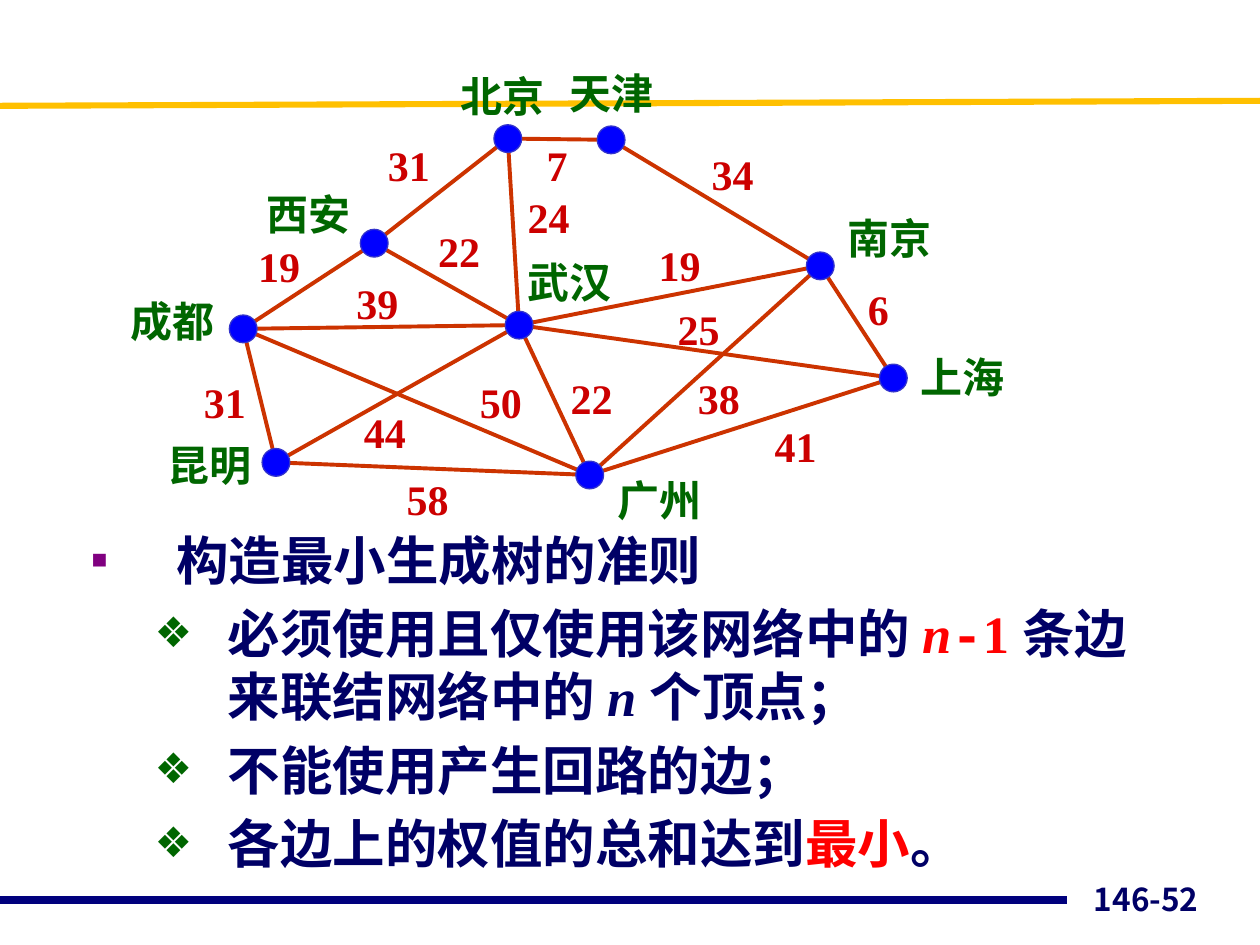
import math

import lxml.etree
import pptx
import pptx.dml.color
import pptx.enum.shapes
import pptx.enum.text
import pptx.oxml.ns
import pptx.util

COLUMNS, ROWS = 100, 75
CELL = pptx.util.Inches(0.1)
NODE_SIZE = 2.2
EDGE_GAP = 0.9

COLORS = {
    "navy": "000066", "rule": "00007D", "gold": "FFC000", "edge": "CC3300",
    "node": "0000FF", "rim": "3333CC", "city": "006600", "weight": "CC0000",
    "accent": "FF0000", "square": "800080", "diamond": "006600",
}

# City: node centre, then top left of its label, in columns and rows.
CITIES = {
    "武汉": ((41.2, 25.8), (40.9, 19.9)),
    "昆明": ((21.9, 36.7), (12.3, 34.4)),
    "南京": ((65.1, 21.1), (66.3, 16.4)),
    "北京": ((40.3, 11.0), (35.6, 5.1)),
    "上海": ((70.9, 30.0), (72.1, 27.4)),
    "成都": ((19.3, 26.1), (9.4, 23.0)),
    "西安": ((29.7, 19.3), (20.2, 14.5)),
    "广州": ((46.8, 37.7), (48.0, 37.2)),
    "天津": ((48.5, 11.1), (44.2, 4.9)),
}

# Two cities, the weight between them, and top left of the weight.
EDGES = [
    ("武汉", "广州", "22", (44.3, 29.1)),
    ("成都", "西安", "19", (19.5, 18.6)),
    ("西安", "北京", "31", (29.8, 10.6)),
    ("昆明", "成都", "31", (15.2, 29.4)),
    ("昆明", "武汉", "44", (27.9, 31.8)),
    ("北京", "武汉", "24", (40.9, 14.7)),
    ("武汉", "南京", "19", (51.3, 18.5)),
    ("广州", "南京", "38", (54.4, 29.1)),
    ("南京", "上海", "6", (67.9, 22.0)),
    ("广州", "上海", "41", (60.5, 32.9)),
    ("昆明", "广州", "58", (31.3, 37.1)),
    ("成都", "武汉", "39", (27.3, 21.5)),
    ("西安", "武汉", "22", (33.8, 17.4)),
    ("成都", "广州", "50", (37.1, 29.4)),
    ("武汉", "上海", "25", (52.8, 23.6)),
    ("北京", "天津", "7", (42.4, 10.6)),
    ("天津", "南京", "34", (55.5, 11.3)),
]

HEADING = [("构造最小生成树的准则", {"font": "Arial"})]
RULES = [
    [("必须使用且仅使用该网络中的 ", {}),
     ("n", {"color": "accent", "italic": True}),
     ("-", {"color": "accent", "font": "Courier New"}),
     ("1 ", {"color": "accent"}),
     ("条边来联结网络中的 ", {}),
     ("n ", {"italic": True}),
     ("个顶点；", {})],
    [("不能使用产生回路的边；", {})],
    [("各边上的权值的总和达到", {}), ("最小", {"color": "accent"}), ("。", {})],
]


def grid(*cells):
    return [round(cell * CELL) for cell in cells]


def rgb(name):
    return pptx.dml.color.RGBColor.from_string(COLORS[name])


def add_text(paragraph, text, font="Times New Roman", size=30, color="navy", italic=False):
    run = paragraph.add_run()
    run.text = text
    run.font.name = font
    run.font.size = pptx.util.Pt(size)
    run.font.bold = True
    run.font.italic = italic
    run.font.color.rgb = rgb(color)


def add_frame(slide, left, top, width, height, wrap=True):
    frame = slide.shapes.add_textbox(*grid(left, top, width, height)).text_frame
    frame.word_wrap = wrap
    return frame


def add_label(slide, position, text, char_width, color):
    """Place a one-line label whose width follows from its character count."""
    frame = add_frame(slide, *position, 2 + char_width * len(text), 5, wrap=False)
    add_text(frame.paragraphs[0], text, size=24, color=color)


def add_line(slide, start, end, color, width):
    line = slide.shapes.add_connector(
        pptx.enum.shapes.MSO_CONNECTOR.STRAIGHT, *grid(*start, *end))
    line.line.color.rgb = rgb(color)
    line.line.width = pptx.util.Pt(width)
    lxml.etree.SubElement(line._element.spPr, pptx.oxml.ns.qn("a:effectLst"))


def add_edge(slide, start, end):
    """Join two nodes, stopping just inside each rim."""
    dx, dy = end[0] - start[0], end[1] - start[1]
    share = EDGE_GAP / math.hypot(dx, dy)
    trim_x, trim_y = dx * share, dy * share
    add_line(slide, (start[0] + trim_x, start[1] + trim_y),
             (end[0] - trim_x, end[1] - trim_y), "edge", 2.25)


def add_node(slide, centre):
    x, y = centre
    node = slide.shapes.add_shape(
        pptx.enum.shapes.MSO_SHAPE.OVAL,
        *grid(x - NODE_SIZE / 2, y - NODE_SIZE / 2, NODE_SIZE, NODE_SIZE))
    node.shadow.inherit = False
    node.fill.solid()
    node.fill.fore_color.rgb = rgb("node")
    node.line.color.rgb = rgb("rim")
    node.line.width = pptx.util.Pt(0.75)


def add_bullet(paragraph, symbol, color, percent, indent, hanging):
    properties = paragraph._p.get_or_add_pPr()
    properties.set("marL", str(pptx.util.Inches(indent)))
    properties.set("indent", str(-pptx.util.Inches(hanging)))

    def add(parent, tag, **attributes):
        return lxml.etree.SubElement(parent, pptx.oxml.ns.qn(tag), attributes)

    add(add(properties, "a:buClr"), "a:srgbClr", val=COLORS[color])
    add(properties, "a:buSzPct", val=str(percent * 1000))
    add(properties, "a:buFont", typeface="Arial")
    add(properties, "a:buChar", char=symbol)


def add_criteria(slide):
    frame = add_frame(slide, 6.3, 41.4, 88.3, 30.4)
    heading = frame.paragraphs[0]
    add_bullet(heading, "■", "square", 50, 0.67, 0.67)
    for text, style in HEADING:
        add_text(heading, text, **style)
    for rule in RULES:
        paragraph = frame.add_paragraph()
        paragraph.level = 1
        add_bullet(paragraph, "❖", "diamond", 80, 1.08, 0.58)
        paragraph.space_before = pptx.util.Pt(6)
        for text, style in rule:
            add_text(paragraph, text, **style)


def add_page_number(slide):
    frame = add_frame(slide, 72.8, 68.3, 23.3, 5)
    frame.vertical_anchor = pptx.enum.text.MSO_ANCHOR.BOTTOM
    frame.paragraphs[0].alignment = pptx.enum.text.PP_ALIGN.RIGHT
    add_text(frame.paragraphs[0], "146-52", font="Noto Sans CJK JP", size=18)


def add_city_network(slide):
    for start, end, _, _ in EDGES:
        add_edge(slide, CITIES[start][0], CITIES[end][0])
    for centre, _ in CITIES.values():
        add_node(slide, centre)
    for city, (_, position) in CITIES.items():
        add_label(slide, position, city, 3.35, "city")
    for _, _, weight, position in EDGES:
        add_label(slide, position, weight, 1.67, "weight")


def main():
    deck = pptx.Presentation()
    deck.slide_width, deck.slide_height = grid(COLUMNS, ROWS)
    slide = deck.slides.add_slide(deck.slide_layouts[6])
    add_line(slide, (0, 71.4), (84.7, 71.4), "rule", 4.5)
    add_line(slide, (0, 8.4), (COLUMNS, 8), "gold", 3.5)
    add_page_number(slide)
    add_criteria(slide)
    add_city_network(slide)
    deck.save("out.pptx")


if __name__ == "__main__":
    main()
